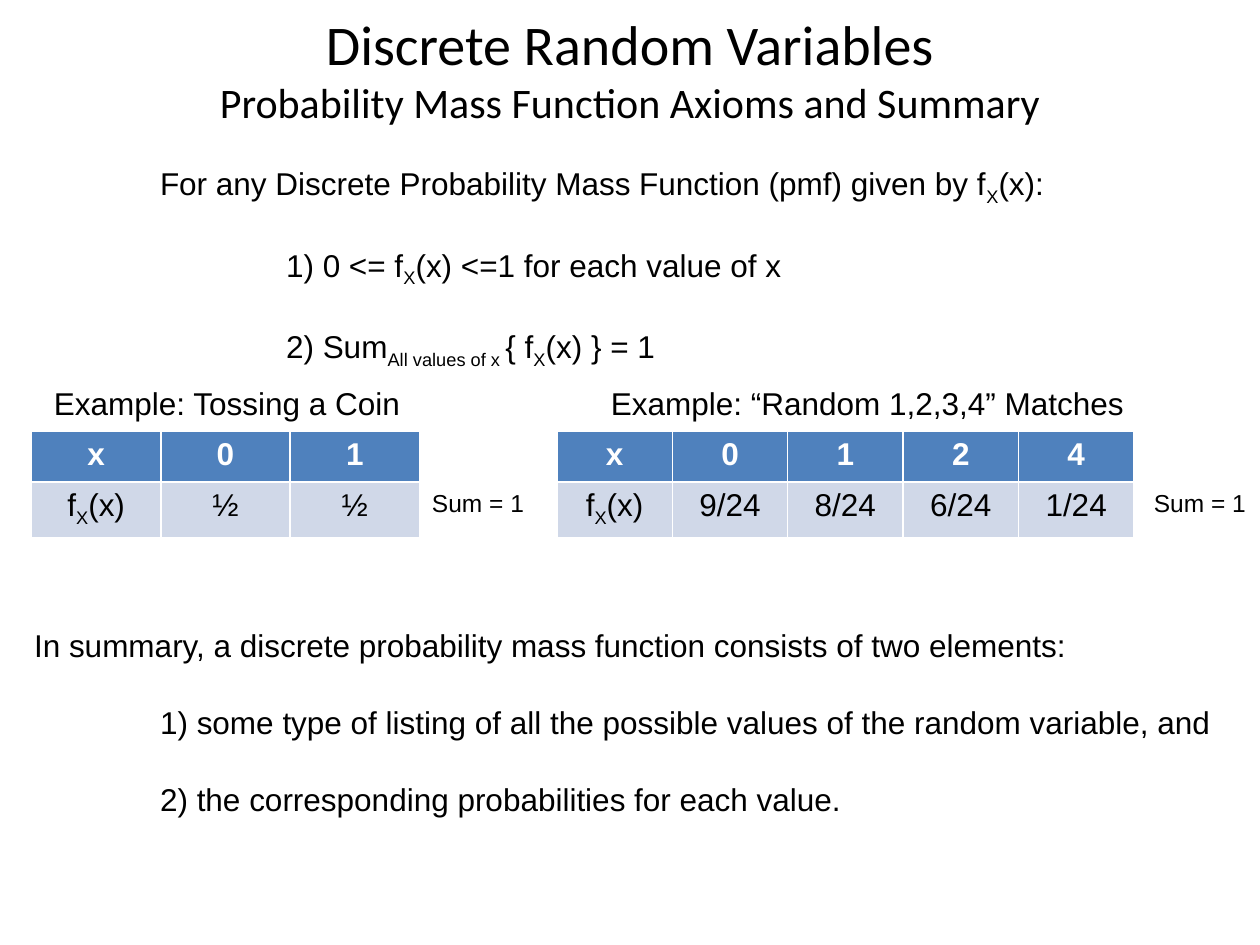
from pptx import Presentation
from pptx.dml.color import RGBColor
from pptx.enum.text import MSO_ANCHOR as Anchor, MSO_AUTO_SIZE as AutoSize, PP_ALIGN as Align
from pptx.oxml.xmlchemy import OxmlElement
from pptx.util import Inches, Pt

BLACK = RGBColor(0x00, 0x00, 0x00)
WHITE = RGBColor(0xFF, 0xFF, 0xFF)
HEADER_BLUE = RGBColor(0x4F, 0x81, 0xBD)
ROW_BLUE = RGBColor(0xD0, 0xD8, 0xE8)
ROW_HEIGHT = 0.405
PMF = "f|X|(x)"  # text between bars is subscript


def place(shape, box):
    shape.left, shape.top, shape.width, shape.height = map(Inches, box)


def add_span(para, text, size, color=BLACK, bold=False, font="Arial"):
    span = para.add_run()
    span.text = text
    span.font.name, span.font.size = font, Pt(size)
    span.font.bold = bold
    span.font.color.rgb = color
    return span


def add_marked_text(para, text, size, color=BLACK, bold=False):
    """Add text run by run, lowering every part between bars."""
    for index, part in enumerate(text.split("|")):
        span = add_span(para, part, size, color, bold)
        if index % 2:
            span._r.get_or_add_rPr().set("baseline", "-25000")


def fill_title(shape, box, heading, subheading):
    place(shape, box)
    para = shape.text_frame.paragraphs[0]
    para.alignment = Align.CENTER
    add_span(para, heading, 32, font="Calibri")
    para.add_line_break()
    add_span(para, subheading, 24, font="Calibri")


def fill_list(shape, box, intro, items):
    """An introduction at the margin, with items indented one inch."""
    place(shape, box)
    frame = shape.text_frame
    frame.word_wrap = False
    frame.auto_size = AutoSize.SHAPE_TO_FIT_TEXT
    frame.vertical_anchor = Anchor.TOP
    for index, text in enumerate([intro, *items]):
        para = frame.add_paragraph() if index else frame.paragraphs[0]
        para.space_before = Pt(22.2 if index else 0)
        props = para._p.get_or_add_pPr()
        props.set("marL", str(Inches(1 if index else 0)))
        props.set("indent", "0")
        props.append(OxmlElement("a:buNone"))
        add_marked_text(para, text, 18)


def add_label(page, box, text, size):
    label = page.shapes.add_textbox(*map(Inches, box))
    label.text_frame.word_wrap = False
    label.text_frame.auto_size = AutoSize.SHAPE_TO_FIT_TEXT
    add_span(label.text_frame.paragraphs[0], text, size)


def add_example(page, box, caption, caption_box, sum_left, values, chances):
    """A captioned probability table with its sum on the right."""
    left, top, width, height = box
    add_label(page, caption_box, caption, 18)
    rows = [["x", *values], [PMF, *chances]]
    table = page.shapes.add_table(
        len(rows), len(rows[0]), *map(Inches, box)).table
    for column in table.columns:
        column.width = Inches(width / len(rows[0]))
    for r, texts in enumerate(rows):
        table.rows[r].height = Inches(height / len(rows))
        header = r == 0
        for c, text in enumerate(texts):
            cell = table.cell(r, c)
            cell.fill.solid()
            cell.fill.fore_color.rgb = HEADER_BLUE if header else ROW_BLUE
            para = cell.text_frame.paragraphs[0]
            para.alignment = Align.CENTER
            add_marked_text(para, text, 18, WHITE if header else BLACK, header)
    add_label(page, (sum_left, top + height / 2, 0.94, 0.34), "Sum = 1", 14)


def main():
    deck = Presentation()
    deck.slide_width, deck.slide_height = Inches(10), Inches(7.5)
    page = deck.slides.add_slide(deck.slide_layouts.get_by_name("Two Content"))
    axioms, summary = page.placeholders[1], page.placeholders[2]

    # Title
    fill_title(page.shapes.title, (0.5, 0, 9, 1.08),
               "Discrete Random Variables",
               "Probability Mass Function Axioms and Summary")

    # Axioms
    fill_list(axioms, (1.17, 1.25, 7.35, 1.62),
              f"For any Discrete Probability Mass Function (pmf) given by {PMF}:",
              [f"1) 0 <= {PMF} <=1 for each value of x",
               f"2) Sum|All values of x |{{ {PMF} }} = 1"])

    # Examples
    add_example(page, (0.25, 3.42, 3.08, 2 * ROW_HEIGHT),
                "Example: Tossing a Coin", (0.33, 3, 2.97, 0.4), 3.33,
                ["0", "1"], ["½", "½"])
    add_example(page, (4.42, 3.42, 4.58, 2 * ROW_HEIGHT),
                "Example: “Random 1,2,3,4” Matches", (4.75, 3, 4.31, 0.4), 9.06,
                ["0", "1", "2", "4"], ["9/24", "8/24", "6/24", "1/24"])

    # Summary
    fill_list(summary, (0.17, 4.92, 9.63, 1.62),
              "In summary, a discrete probability mass function consists of two elements:",
              ["1) some type of listing of all the possible values of the random variable, and",
               "2) the corresponding probabilities for each value."])

    deck.save("out.pptx")


if __name__ == "__main__":
    main()
